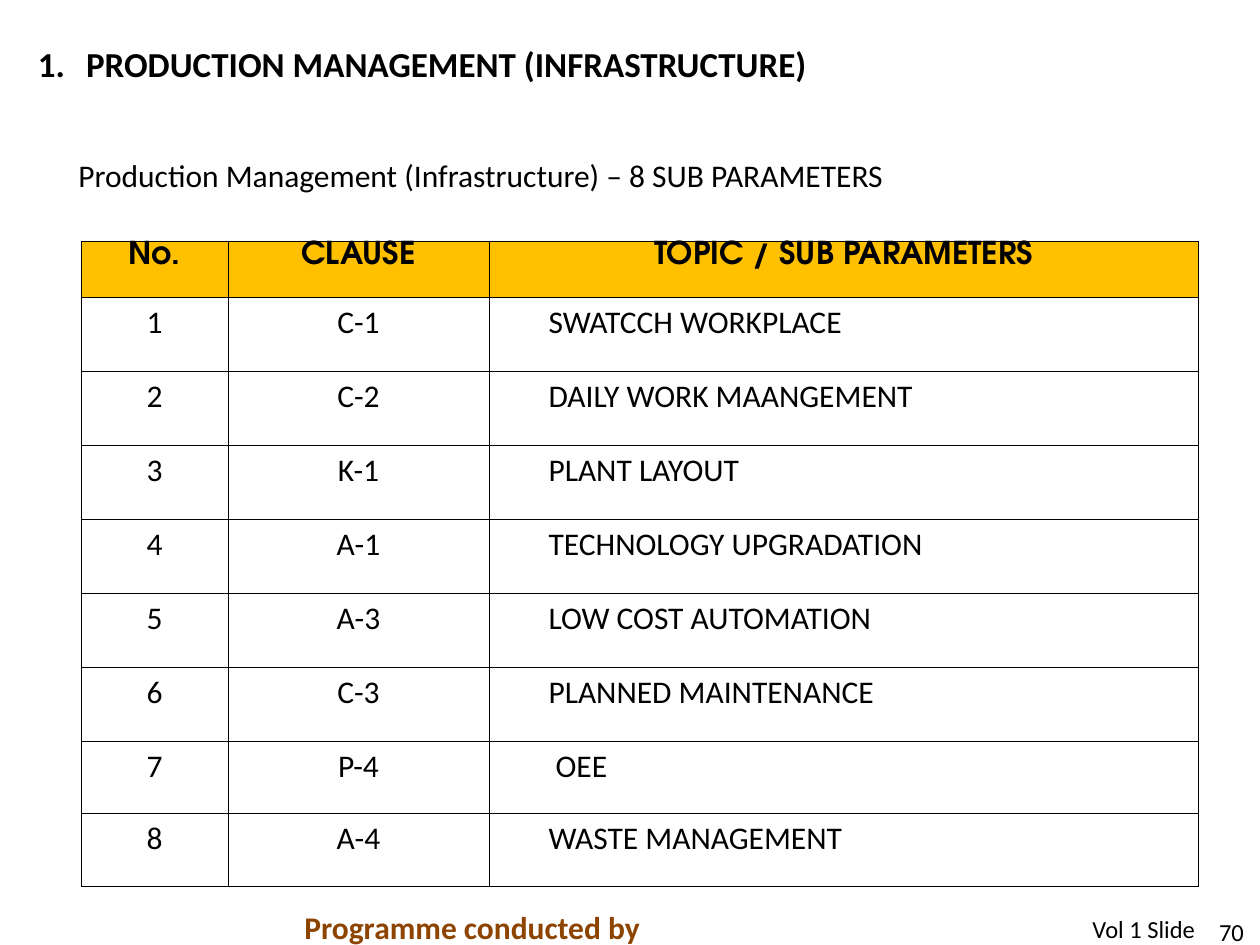
import pptx
import pptx.util
import pptx.dml.color
import pptx.enum.text
import pptx.oxml
import pptx.oxml.ns

PX = 914400 // 126
COLORS = {"text": "000000", "header": "FFC000", "footer": "8D4400"}
LEFT, CENTER, RIGHT = (pptx.enum.text.PP_ALIGN.LEFT, pptx.enum.text.PP_ALIGN.CENTER,
                       pptx.enum.text.PP_ALIGN.RIGHT)
TOP, BOTTOM = pptx.enum.text.MSO_ANCHOR.TOP, pptx.enum.text.MSO_ANCHOR.BOTTOM


def write(frame, text, size, align=LEFT, bold=False, color="text", font="Calibri"):
    paragraph = frame.paragraphs[0]
    paragraph.alignment = align
    run = paragraph.add_run()
    run.text = text
    run.font.name = font
    run.font.size = pptx.util.Pt(size)
    run.font.bold = bold
    run.font.color.rgb = pptx.dml.color.RGBColor.from_string(COLORS[color])
    return paragraph


def set_insets(frame):
    frame.margin_left = frame.margin_right = frame.margin_top = frame.margin_bottom = 0


deck = pptx.Presentation()
deck.slide_width = pptx.util.Inches(10)
deck.slide_height = pptx.util.Inches(7.5)
slide = deck.slides.add_slide(deck.slide_layouts[5])

# Title with a hanging number
title = slide.shapes.title
title.left, title.top, title.width, title.height = (n * PX for n in (38, 47, 1152, 77))
heading = title.text_frame
set_insets(heading)
heading.vertical_anchor = TOP
heading.word_wrap = True
heading_line = write(heading, "1.\tPRODUCTION MANAGEMENT (INFRASTRUCTURE)", 20, bold=True)
heading_line.line_spacing = 0.9
heading_props = heading_line._p.get_or_add_pPr()
heading_props.set("marL", str(48 * PX))
heading_props.set("indent", str(-48 * PX))

# Subtitle and footer: box, text, size, bold, colour
captions = [
    ((19, 150, 888, 50), "Production Management (Infrastructure) – 8 SUB PARAMETERS", 18, False, "text"),
    ((292, 902, 364, 50), "Programme conducted by", 18, True, "footer"),
    ((1080, 908, 130, 43), "Vol 1 Slide", 14, False, "text"),
]
for box, text, size, bold, color in captions:
    caption = slide.shapes.add_textbox(*(n * PX for n in box)).text_frame
    caption.word_wrap = color == "footer"
    line = write(caption, text, size, bold=bold, color=color)
    if "SUB PARAMETERS" in text:
        line._p.get_or_add_pPr().set("marL", str(47 * PX))

# Slide number
number = slide.shapes.add_textbox(*(n * PX for n in (1196, 916, 48, 30))).text_frame
set_insets(number)
number.word_wrap = True
number.vertical_anchor = BOTTOM
write(number, "70", 14, RIGHT)

# Table of sub parameters
rows = [
    ("No.", "CLAUSE", "TOPIC / SUB PARAMETERS"),
    ("1", "C-1", "SWATCCH WORKPLACE"),
    ("2", "C-2", "DAILY WORK MAANGEMENT"),
    ("3", "K-1", "PLANT LAYOUT"),
    ("4", "A-1", "TECHNOLOGY UPGRADATION"),
    ("5", "A-3", "LOW COST AUTOMATION"),
    ("6", "C-3", "PLANNED MAINTENANCE"),
    ("7", "P-4", " OEE"),
    ("8", "A-4", "WASTE MANAGEMENT"),
]
column_widths = [147, 261, 709]
row_heights = [56] + [74] * 6 + [72, 74]
parameters = slide.shapes.add_table(
    len(rows), len(column_widths), 81 * PX, 241 * PX,
    sum(column_widths) * PX, sum(row_heights) * PX).table
for column, width in zip(parameters.columns, column_widths):
    column.width = width * PX
for r, (values, height) in enumerate(zip(rows, row_heights)):
    parameters.rows[r].height = height * PX
    for c, value in enumerate(values):
        cell = parameters.cell(r, c)
        is_header, is_topic = r == 0, c == 2
        line = write(cell.text_frame, value, 18,
                     LEFT if is_topic and not is_header else CENTER, bold=is_header,
                     font="TeX Gyre Adventor" if is_header else "Calibri")
        if is_header:
            cell.margin_top = cell.margin_bottom = 0
        elif is_topic:
            line._p.get_or_add_pPr().set("marL", str(47 * PX))

        # Thin borders come before the fill in the cell properties
        cell_props = cell._tc.get_or_add_tcPr()
        for side in ("lnL", "lnR", "lnT", "lnB"):
            cell_props.append(pptx.oxml.parse_xml(
                f'<a:{side} {pptx.oxml.ns.nsdecls("a")} w="3175"><a:solidFill>'
                f'<a:srgbClr val="{COLORS["text"]}"/></a:solidFill></a:{side}>'))
        if is_header:
            cell.fill.solid()
            cell.fill.fore_color.rgb = pptx.dml.color.RGBColor.from_string(COLORS["header"])
        else:
            cell.fill.background()

deck.save("out.pptx")
